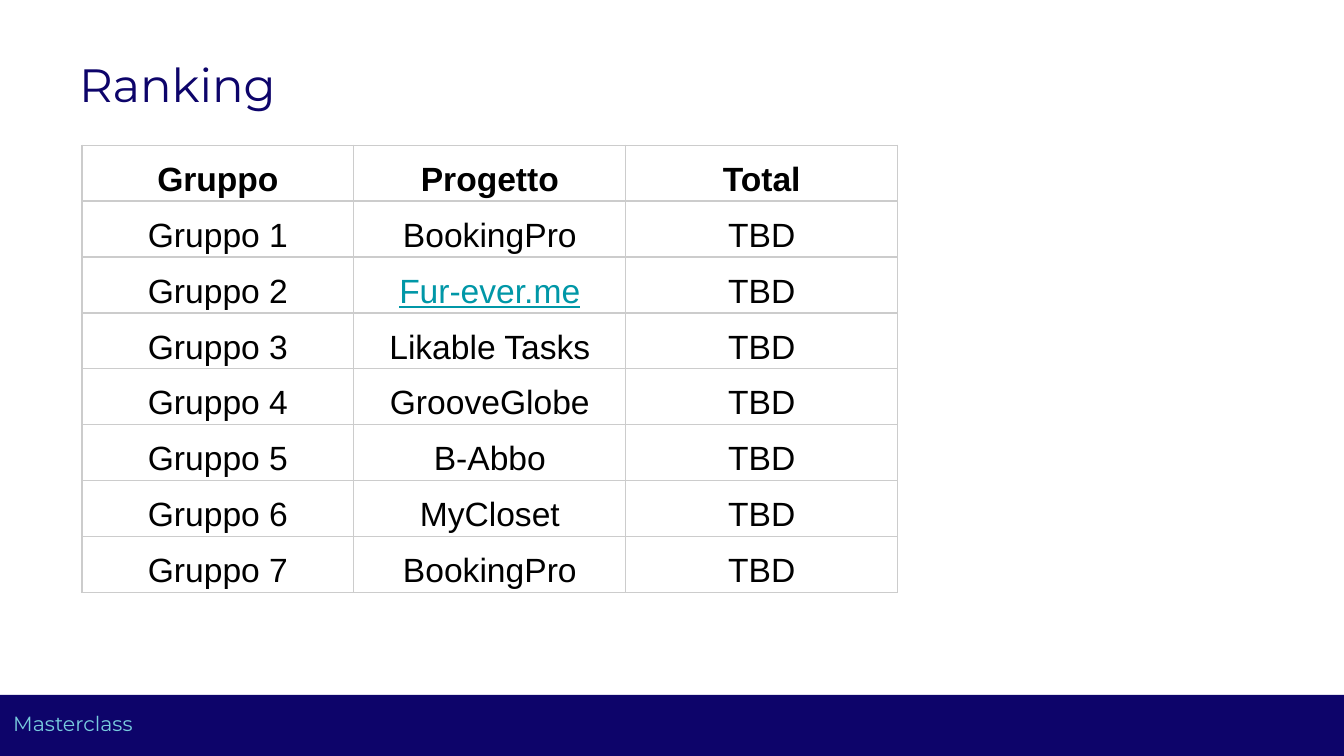
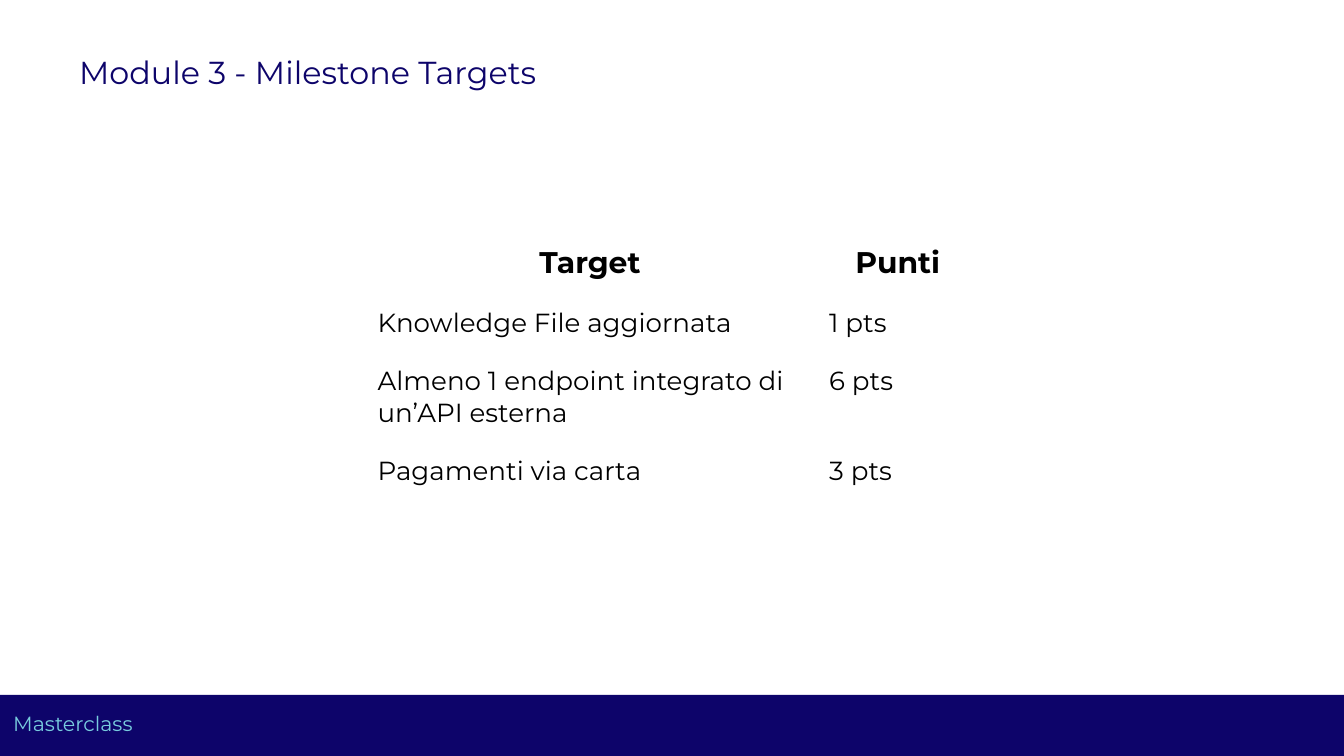
from dataclasses import dataclass

from lxml import etree
from pptx import Presentation
from pptx.dml.color import RGBColor
from pptx.enum.shapes import MSO_SHAPE
from pptx.enum.text import MSO_ANCHOR, MSO_AUTO_SIZE, PP_ALIGN
from pptx.oxml.ns import qn
from pptx.slide import Slide
from pptx.table import _Cell
from pptx.text.text import _Paragraph
from pptx.util import Inches, Pt

RECTANGLE = MSO_SHAPE.RECTANGLE
CENTER, LEFT = PP_ALIGN.CENTER, PP_ALIGN.LEFT
TOP, BOTTOM = MSO_ANCHOR.TOP, MSO_ANCHOR.BOTTOM
FIT_SHAPE = MSO_AUTO_SIZE.SHAPE_TO_FIT_TEXT

# Shared look
COLORS = {
    "navy": "0D046A",
    "aqua": "78CCDE",
    "black": "000000",
    "link": "0097A7",
    "grid": "CCCCCC",
    "white": "FFFFFF",
}
BRAND_FONT = "Montserrat"
TABLE_FONT = "Arial"
LINE_SPACING = 1.15
SLIDE_WIDTH = Inches(10)
SLIDE_HEIGHT = SLIDE_WIDTH * 9 // 16


@dataclass(frozen=True)
class TextStyle:
    size: float
    color: str
    font: str = BRAND_FONT
    bold: bool = False
    underline: bool = False
    align: PP_ALIGN = LEFT
    spacing: float = 1.0
    space_after: float = 0


@dataclass(frozen=True)
class Box:
    left: float
    top: float
    width: float
    height: float


@dataclass(frozen=True)
class TableDesign:
    left: float
    top: float
    columns: list[float]
    rows: list[float]
    header: TextStyle
    body: TextStyle
    margin_x: float
    margin_y: float
    anchor: MSO_ANCHOR
    border: str | None = None


FOOTER_STYLE = TextStyle(11, "aqua")


# Text
def rgb(name: str) -> RGBColor:
    return RGBColor.from_string(COLORS[name])


def style_paragraph(paragraph: _Paragraph, style: TextStyle) -> None:
    paragraph.alignment = style.align
    paragraph.line_spacing = style.spacing
    paragraph.space_after = Pt(style.space_after)
    for run in paragraph.runs:
        run.font.name = style.font
        run.font.size = Pt(style.size)
        run.font.bold = style.bold
        run.font.underline = style.underline
        run.font.color.rgb = rgb(style.color)


def add_text(slide: Slide, box: Box, text: str, style: TextStyle) -> None:
    shape = slide.shapes.add_textbox(
        Inches(box.left), Inches(box.top), Inches(box.width), Inches(box.height))
    frame = shape.text_frame
    frame.word_wrap = True
    frame.auto_size = FIT_SHAPE
    frame.margin_left = frame.margin_right = Inches(0.1)
    frame.margin_top = frame.margin_bottom = Inches(0.1)
    frame.text = text
    style_paragraph(frame.paragraphs[0], style)


# Footer band and title
def add_footer(slide: Slide) -> None:
    band = slide.shapes.add_shape(
        RECTANGLE, Inches(0), Inches(5.17), SLIDE_WIDTH, Inches(0.46))
    band.shadow.inherit = False
    band.fill.solid()
    band.fill.fore_color.rgb = rgb("navy")
    band.line.fill.background()
    add_text(slide, Box(0, 5.2, 10, 0.39), "Masterclass", FOOTER_STYLE)


def add_title(slide: Slide, text: str, size: float,
              width: float, height: float) -> None:
    style = TextStyle(size, "navy", spacing=LINE_SPACING, space_after=16)
    add_text(slide, Box(0.49, 0.25, width, height), text, style)


# Tables
def set_borders(cell: _Cell, color: str | None) -> None:
    properties = cell._tc.get_or_add_tcPr()
    for side in ("a:lnL", "a:lnR", "a:lnT", "a:lnB"):
        line = etree.SubElement(properties, qn(side), w=str(Pt(0.75)))
        if color is None:
            etree.SubElement(line, qn("a:noFill"))
        else:
            fill = etree.SubElement(line, qn("a:solidFill"))
            etree.SubElement(fill, qn("a:srgbClr"), val=COLORS[color])


def add_styled_table(slide: Slide, design: TableDesign,
                     records: list[tuple[str, ...]],
                     special: dict[str, TextStyle] | None = None) -> None:
    special = special or {}
    table = slide.shapes.add_table(
        len(design.rows), len(design.columns),
        Inches(design.left), Inches(design.top),
        Inches(sum(design.columns)), Inches(sum(design.rows))).table
    table.first_row = table.horz_banding = False
    for column, width in zip(table.columns, design.columns):
        column.width = Inches(width)
    for row, height in zip(table.rows, design.rows):
        row.height = Inches(height)

    for row_index, record in enumerate(records):
        base_style = design.body if row_index else design.header
        for column_index, text in enumerate(record):
            cell = table.cell(row_index, column_index)
            set_borders(cell, design.border)
            cell.fill.background()
            cell.margin_left = cell.margin_right = Inches(design.margin_x)
            cell.margin_top = cell.margin_bottom = Inches(design.margin_y)
            cell.vertical_anchor = design.anchor
            cell.text_frame.text = text
            style_paragraph(cell.text_frame.paragraphs[0],
                            special.get(text, base_style))


# Slides
def new_slide(presentation: Presentation) -> Slide:
    slide = presentation.slides.add_slide(presentation.slide_layouts[6])
    slide.background.fill.solid()
    slide.background.fill.fore_color.rgb = rgb("white")
    add_footer(slide)
    return slide


def build_ranking(presentation: Presentation) -> None:
    slide = new_slide(presentation)
    add_title(slide, "Ranking", 25, 1.72, 0.62)
    projects = ["BookingPro", "Fur-ever.me", "Likable Tasks", "GrooveGlobe",
                "B-Abbo", "MyCloset", "BookingPro"]
    records = [("Gruppo", "Progetto", "Total")]
    records += [(f"Gruppo {number}", project, "TBD")
                for number, project in enumerate(projects, 1)]
    grid_text = {"size": 18, "font": TABLE_FONT, "align": CENTER,
                 "spacing": LINE_SPACING}
    row_height = 3.33 / len(records)
    design = TableDesign(
        0.61, 1.08, [6.07 / 3] * 3, [row_height] * len(records),
        header=TextStyle(color="black", bold=True, **grid_text),
        body=TextStyle(color="black", **grid_text),
        margin_x=0.03, margin_y=0.02, anchor=BOTTOM, border="grid")
    link_style = TextStyle(color="link", underline=True, **grid_text)
    add_styled_table(slide, design, records, {"Fur-ever.me": link_style})


def build_targets(presentation: Presentation) -> None:
    slide = new_slide(presentation)
    add_title(slide, "Module 3 - Milestone Targets", 17, 4.26, 0.49)
    records = [
        ("Target", "Punti"),
        ("Knowledge File aggiornata", "1 pts"),
        ("Almeno 1 endpoint integrato di un’API esterna", "6 pts"),
        ("Pagamenti via carta", "3 pts"),
    ]
    design = TableDesign(
        2.71, 1.68, [3.36, 1.22], [0.43, 0.36, 0.56, 0.36],
        header=TextStyle(16, "black", bold=True, align=CENTER,
                         spacing=LINE_SPACING),
        body=TextStyle(14, "black"),
        margin_x=0.1, margin_y=0.1, anchor=TOP)
    add_styled_table(slide, design, records)


def main() -> None:
    presentation = Presentation()
    presentation.slide_width = SLIDE_WIDTH
    presentation.slide_height = SLIDE_HEIGHT
    build_ranking(presentation)
    build_targets(presentation)
    presentation.save("out.pptx")


if __name__ == "__main__":
    main()
